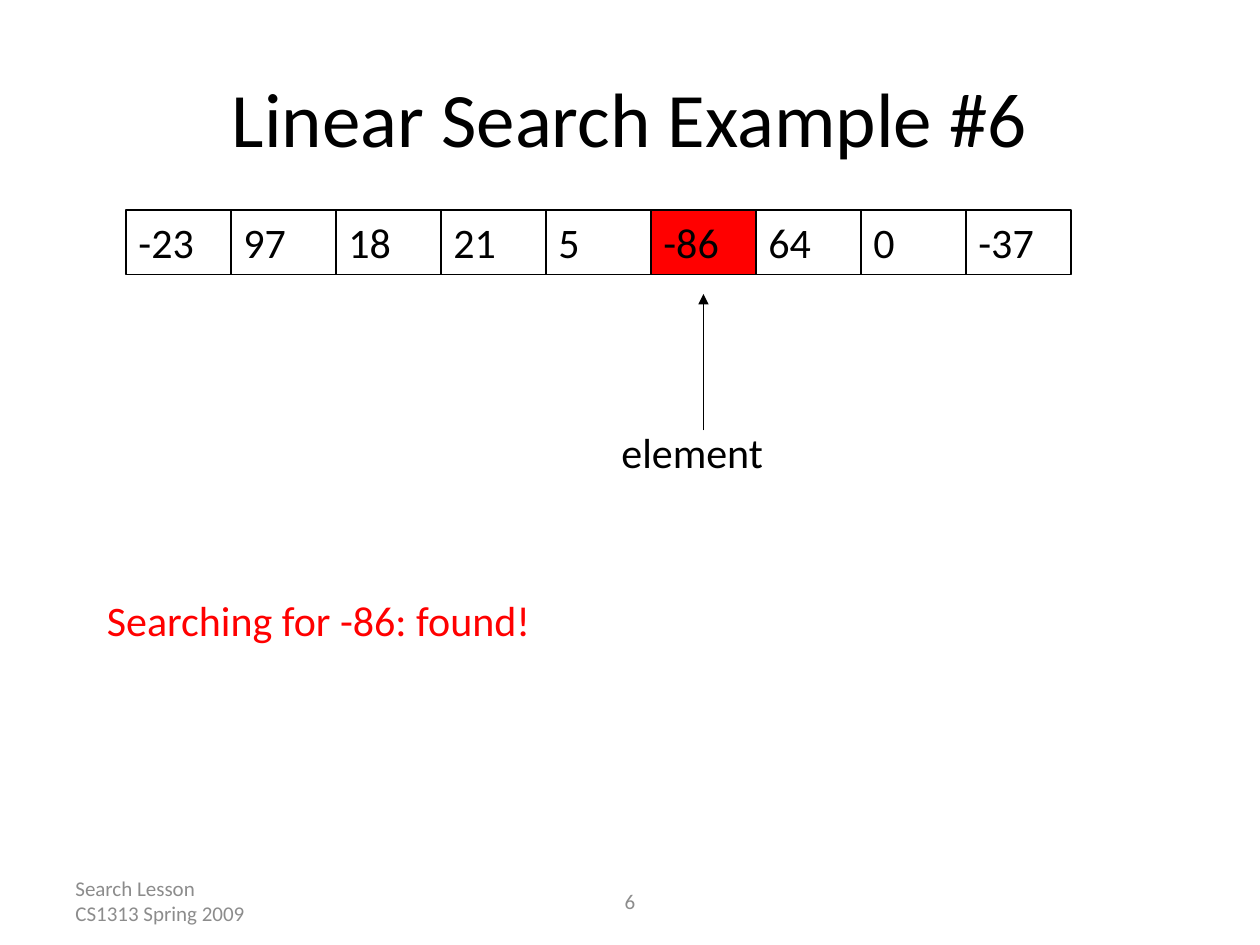
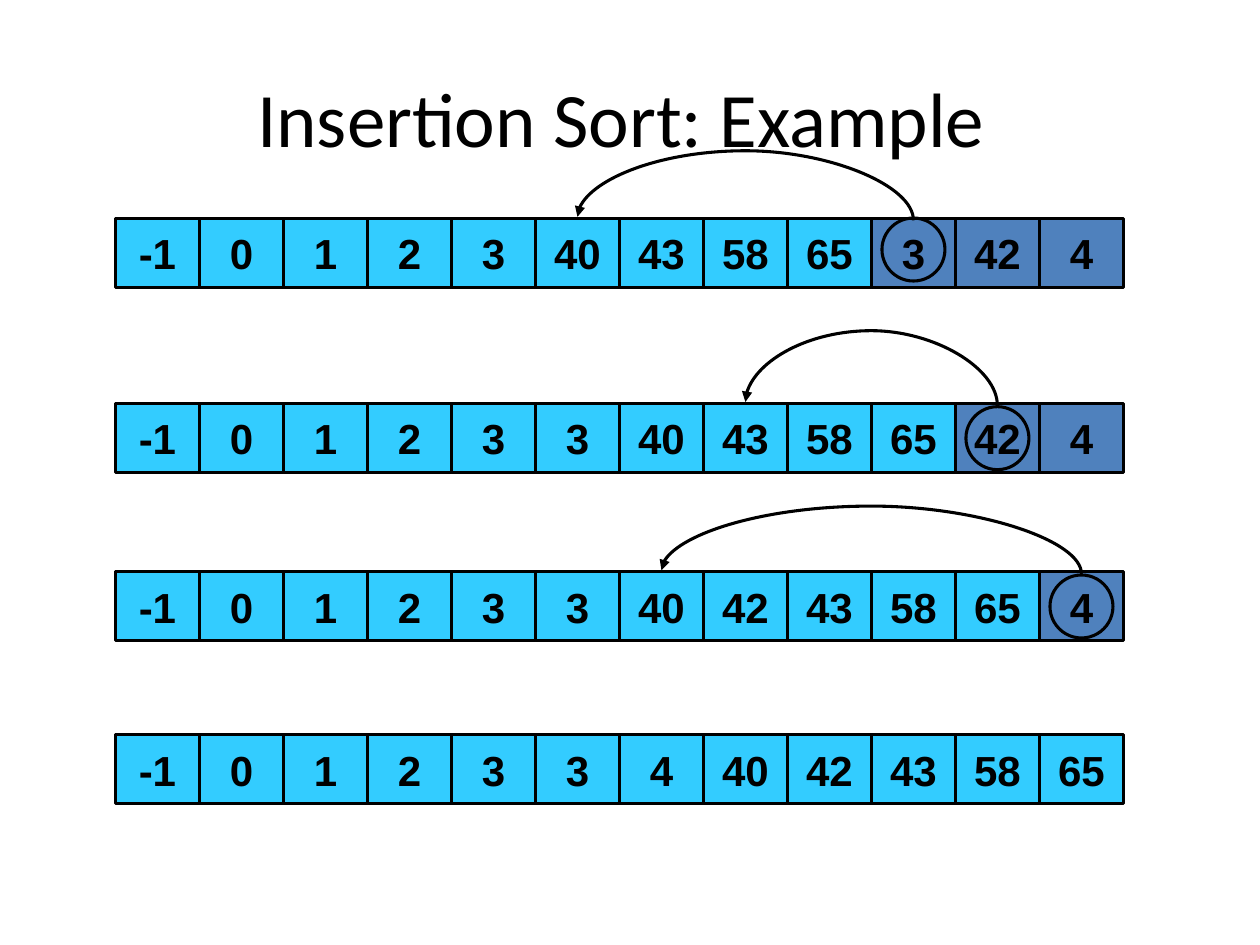
from dataclasses import dataclass

from lxml import etree
from pptx import Presentation
from pptx.dml.color import RGBColor
from pptx.enum.shapes import MSO_CONNECTOR, MSO_SHAPE
from pptx.enum.text import MSO_ANCHOR, MSO_AUTO_SIZE, PP_ALIGN
from pptx.oxml.ns import qn
from pptx.util import Pt

STRAIGHT, CURVE = MSO_CONNECTOR.STRAIGHT, MSO_CONNECTOR.CURVE
RECTANGLE, OVAL = MSO_SHAPE.RECTANGLE, MSO_SHAPE.OVAL
TOP, MIDDLE = MSO_ANCHOR.TOP, MSO_ANCHOR.MIDDLE
LEFT, CENTER = PP_ALIGN.LEFT, PP_ALIGN.CENTER
NO_AUTOFIT = MSO_AUTO_SIZE.NONE
TITLE_ONLY = 5


@dataclass(frozen=True)
class Theme:
    ink: str = "000000"
    muted: str = "8C8C8C"
    found: str = "FF0000"
    sorted_part: str = "33CCFF"
    unsorted_part: str = "4F81BD"
    text_font: str = "Calibri"
    sort_font: str = "Arial"
    title_size: float = 44
    body_size: float = 24
    footer_size: float = 12
    search_line: float = 1
    pointer_line: float = 0.75
    sort_line: float = 1.75


@dataclass(frozen=True)
class Box:
    left: float
    top: float
    width: float
    height: float

    def lengths(self):
        return Pt(self.left), Pt(self.top), Pt(self.width), Pt(self.height)

    def column(self, index, count):
        width = self.width / count
        return Box(self.left + index * width, self.top, width, self.height)

    @property
    def center(self):
        return self.left + self.width / 2


THEME = Theme()
TITLE_BOX = Box(36, 21.6, 648, 90)


def rgb(color):
    return RGBColor.from_string(color)


def write(frame, lines, size, color=THEME.ink, font=THEME.text_font,
          align=LEFT, anchor=TOP, bold=False, wrap=True):
    frame.word_wrap = wrap
    frame.auto_size = NO_AUTOFIT
    frame.vertical_anchor = anchor
    for index, line in enumerate(lines):
        paragraph = frame.add_paragraph() if index else frame.paragraphs[0]
        paragraph.alignment = align
        run = paragraph.add_run()
        run.text = line
        run.font.name = font
        run.font.size = Pt(size)
        run.font.bold = bold
        run.font.color.rgb = rgb(color)


def add_label(slide, box, lines, size, **style):
    write(slide.shapes.add_textbox(*box.lengths()).text_frame, lines, size, **style)


def add_outlined(slide, kind, box, line_width, fill=None):
    shape = slide.shapes.add_shape(kind, *box.lengths())
    shape.shadow.inherit = False
    if fill:
        shape.fill.solid()
        shape.fill.fore_color.rgb = rgb(fill)
    else:
        shape.fill.background()
    shape.line.color.rgb = rgb(THEME.ink)
    shape.line.width = Pt(line_width)
    return shape


def add_arrow(slide, kind, start, end, line_width):
    arrow = slide.shapes.add_connector(kind, *(Pt(v) for v in (*start, *end)))
    arrow.line.color.rgb = rgb(THEME.ink)
    arrow.line.width = Pt(line_width)
    properties = arrow._element.spPr
    etree.SubElement(properties.find(qn("a:ln")), qn("a:tailEnd"), type="triangle")
    etree.SubElement(properties, qn("a:effectLst"))
    return arrow


def add_move_arrow(slide, start, end, rise):
    """Arch leftwards from start to end, peaking at rise above start.

    The connector is laid out upright and turned by 90 degrees, so its width
    is the drop between the ends and its height is their distance.
    """
    drop, reach = start[1] - end[1], start[0] - end[0]
    middle_x, middle_y = (start[0] + end[0]) / 2, (start[1] + end[1]) / 2
    arrow = add_arrow(slide, CURVE,
                      (middle_x + drop / 2, middle_y - reach / 2),
                      (middle_x - drop / 2, middle_y + reach / 2),
                      THEME.sort_line)
    properties = arrow._element.spPr
    properties.find(qn("a:xfrm")).set("rot", str(90 * 60000))
    adjustments = properties.find(qn("a:prstGeom")).get_or_add_avLst()
    etree.SubElement(adjustments, qn("a:gd"), name="adj1",
                     fmla=f"val {round(rise / drop * 100000)}")


def add_titled_slide(deck, title):
    slide = deck.slides.add_slide(deck.slide_layouts[TITLE_ONLY])
    heading = slide.shapes.title
    heading.left, heading.top, heading.width, heading.height = TITLE_BOX.lengths()
    write(heading.text_frame, [title], THEME.title_size, align=CENTER, anchor=MIDDLE)
    return slide


def add_footer(slide, box, lesson, number):
    style = {"color": THEME.muted, "anchor": MIDDLE}
    add_label(slide, Box(box.left, box.top, 168, box.height), lesson,
              THEME.footer_size, **style)
    add_label(slide, Box(box.center - 114, box.top, 228, box.height), [number],
              THEME.footer_size, align=CENTER, **style)


def add_searched_list(slide, box, values, found):
    """Row of values with the found one filled and pointed at from below."""
    for index, value in enumerate(values):
        fill = THEME.found if index == found else None
        cell = add_outlined(slide, RECTANGLE, box.column(index, len(values)),
                            THEME.search_line, fill)
        write(cell.text_frame, [value], THEME.body_size)
    pointer_x = box.column(found, len(values)).center
    add_label(slide, Box(pointer_x - 54, box.top + 120, 108, 36), ["element"],
              THEME.body_size)
    add_arrow(slide, STRAIGHT, (pointer_x, box.top + 126),
              (pointer_x, box.top + 48), THEME.pointer_line)


def add_sort_step(slide, box, values, sorted_count, target, rise, circle_drop):
    """Row of values; the first unsorted one is circled and moves to target."""
    count = len(values)
    for index, value in enumerate(values):
        fill = THEME.sorted_part if index < sorted_count else THEME.unsorted_part
        cell = add_outlined(slide, RECTANGLE, box.column(index, count),
                            THEME.sort_line, fill)
        write(cell.text_frame, [value], THEME.body_size, font=THEME.sort_font,
              align=CENTER, anchor=MIDDLE, bold=True, wrap=False)
    if target is None:
        return
    moving_x = box.column(sorted_count, count).center
    add_outlined(slide, OVAL, Box(moving_x - 18, box.top + circle_drop, 36, 36),
                 THEME.sort_line)
    add_move_arrow(slide, (moving_x, box.top + 1.3),
                   (box.column(target, count).center, box.top - 0.7), rise)


def build_search_slide(deck):
    slide = add_titled_slide(deck, "Linear Search Example #6")
    add_footer(slide, Box(36, 500.4, 648, 28.8),
               ["Search Lesson", "CS1313 Spring 2009"], "6")
    values = ["-23", "97", "18", "21", "5", "-86", "64", "0", "-37"]
    add_searched_list(slide, Box(72, 120, 540, 36.9), values, values.index("-86"))
    add_label(slide, Box(54, 336, 366, 36), ["Searching for -86: found!"],
              THEME.body_size, color=THEME.found)


def build_sort_slide(deck):
    slide = add_titled_slide(deck, "Insertion Sort: Example ")
    # top, values, sorted count, target column, arch rise, circle drop
    steps = [
        (124.6, "-1 0 1 2 3 40 43 58 65 3 42 4", 9, 5, 39.5, 0),
        (230.4, "-1 0 1 2 3 3 40 43 58 65 42 4", 10, 7, 42.5, 2),
        (326.6, "-1 0 1 2 3 3 40 42 43 58 65 4", 11, 6, 38.5, 2),
        (419.8, "-1 0 1 2 3 3 4 40 42 43 58 65", 12, None, 0, 0),
    ]
    for top, values, *move in steps:
        add_sort_step(slide, Box(66, top, 576, 39.6), values.split(), *move)


def main():
    deck = Presentation()
    deck.slide_width, deck.slide_height = Pt(720), Pt(540)
    build_search_slide(deck)
    build_sort_slide(deck)
    deck.save("out.pptx")


if __name__ == "__main__":
    main()
